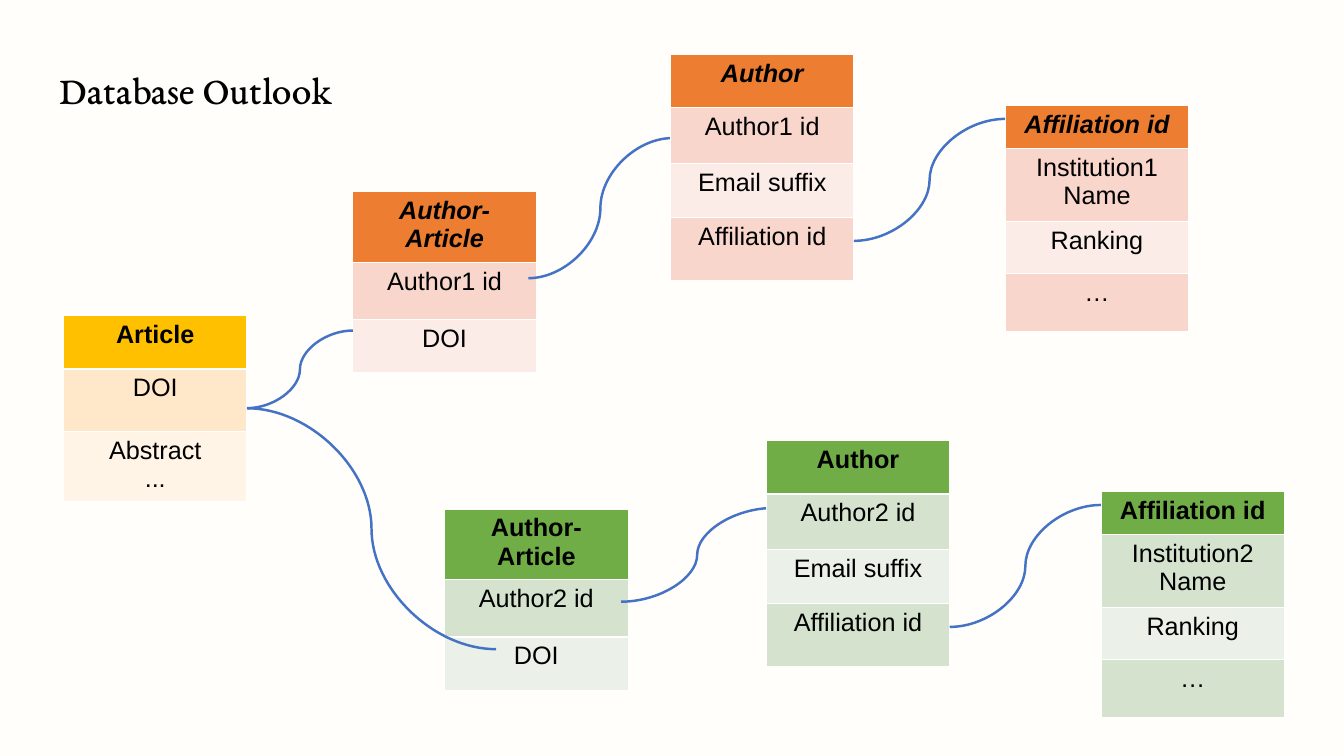
from pptx import Presentation, util as u
from pptx.dml.color import RGBColor
from pptx.enum import shapes, text
from pptx.oxml.ns import qn
from lxml import etree

# Grid: square cells, 133.3 columns by 75 rows
CELL = u.Inches(0.1)
COLUMNS, ROWS = 133.3, 75
ENTITY_WIDTH = 18.2

PAPER = RGBColor(0xFF, 0xFE, 0xFA)
INK = RGBColor(0x00, 0x00, 0x00)
LINK_BLUE = RGBColor(0x44, 0x72, 0xC4)
# Each palette: header, odd rows, even rows
YELLOW = (RGBColor(0xFF, 0xC0, 0x00), RGBColor(0xFF, 0xE8, 0xCA), RGBColor(0xFF, 0xF4, 0xE6))
ORANGE = (RGBColor(0xED, 0x7D, 0x31), RGBColor(0xF8, 0xD6, 0xCC), RGBColor(0xFC, 0xEC, 0xE7))
GREEN = (RGBColor(0x70, 0xAD, 0x47), RGBColor(0xD4, 0xE2, 0xCE), RGBColor(0xEB, 0xF1, 0xE8))


def grid(*cells):
    return [round(n * CELL) for n in cells]


def add_run(paragraph, words, font_name, size, bold=False, italic=False):
    run = paragraph.add_run()
    run.text = words
    run.font.name = font_name
    run.font.size = u.Pt(size)
    run.font.bold = bold
    run.font.italic = italic
    run.font.color.rgb = INK


def draw_title(slide, left, top, width, height):
    title = slide.shapes.add_textbox(*grid(left, top, width, height))
    title.text_frame.word_wrap = True
    add_run(title.text_frame.paragraphs[0], "Database Outlook", "EB Garamond", 28)


def draw_entity(slide, left, top, fields, row_heights, palette, italic=False):
    """One database entity: a header row above banded field rows."""
    frame = slide.shapes.add_table(
        len(fields), 1, *grid(left, top, ENTITY_WIDTH, sum(row_heights)))
    entity = frame.table
    entity.horz_banding = False
    for index, (field, height) in enumerate(zip(fields, row_heights)):
        header = index == 0
        entity.rows[index].height = grid(height)[0]
        cell = entity.cell(index, 0)
        cell.fill.solid()
        cell.fill.fore_color.rgb = palette[0 if header else 2 - index % 2]
        for number, line in enumerate(field.split("\n")):
            frame_text = cell.text_frame
            paragraph = frame_text.add_paragraph() if number else frame_text.paragraphs[0]
            paragraph.alignment = text.PP_ALIGN.CENTER
            add_run(paragraph, line, "Arial", 18, header, header and italic)


def draw_link(slide, start, end):
    link = slide.shapes.add_connector(
        shapes.MSO_CONNECTOR.CURVE, *grid(*start, *end))
    link.line.color.rgb = LINK_BLUE
    link.line.width = u.Pt(1.75)
    etree.SubElement(link._element.spPr, qn("a:effectLst"))


def draw_branch(slide, number, junction, author, key_link, palette, italic=False):
    """The entities of one author: junction, author and affiliation."""
    author_id = f"Author{number} id"
    left, top = author

    # Junction between author and article
    draw_entity(slide, *junction, ["Author-Article", author_id, "DOI"],
                [5.5, 5.7, 5.3], palette, italic)
    draw_link(slide, *key_link)

    # Author and the affiliation to its right
    draw_entity(slide, left, top, ["Author", author_id, "Email suffix", "Affiliation id"],
                [5.3, 5.5, 5.4, 6.2], palette, italic)
    draw_entity(slide, left + 33.2, top + 5.1,
                ["Affiliation id", f"Institution{number} Name", "Ranking", "…"],
                [4.2, 7.3, 5.1, 5.8], palette, italic)
    draw_link(slide, (left + ENTITY_WIDTH, top + 18.5), (left + 33.2, top + 6.4))


def draw_article(slide, left, top, key_targets):
    draw_entity(slide, left, top, ["Article", "DOI", "Abstract\n..."],
                [5.3, 6.2, 6.5], YELLOW)
    for target in key_targets:
        draw_link(slide, (left + ENTITY_WIDTH, top + 9.2), target)


def main():
    deck = Presentation()
    deck.slide_width, deck.slide_height = grid(COLUMNS, ROWS)
    slide = deck.slides.add_slide(deck.slide_layouts[6])
    slide.background.fill.solid()
    slide.background.fill.fore_color.rgb = PAPER

    draw_title(slide, 4.9, 6, 53.2, 5.7)
    draw_branch(slide, 1, (35, 19), (66.5, 5.4),
                ((52.4, 27.6), (66.7, 13.7)), ORANGE, italic=True)
    draw_branch(slide, 2, (44.1, 50.5), (76, 43.7),
                ((61.6, 59.7), (76.7, 50.4)), GREEN)
    draw_article(slide, 6.3, 31.3, [(35, 32.8), (49.2, 64.4)])

    deck.save("out.pptx")


if __name__ == "__main__":
    main()
